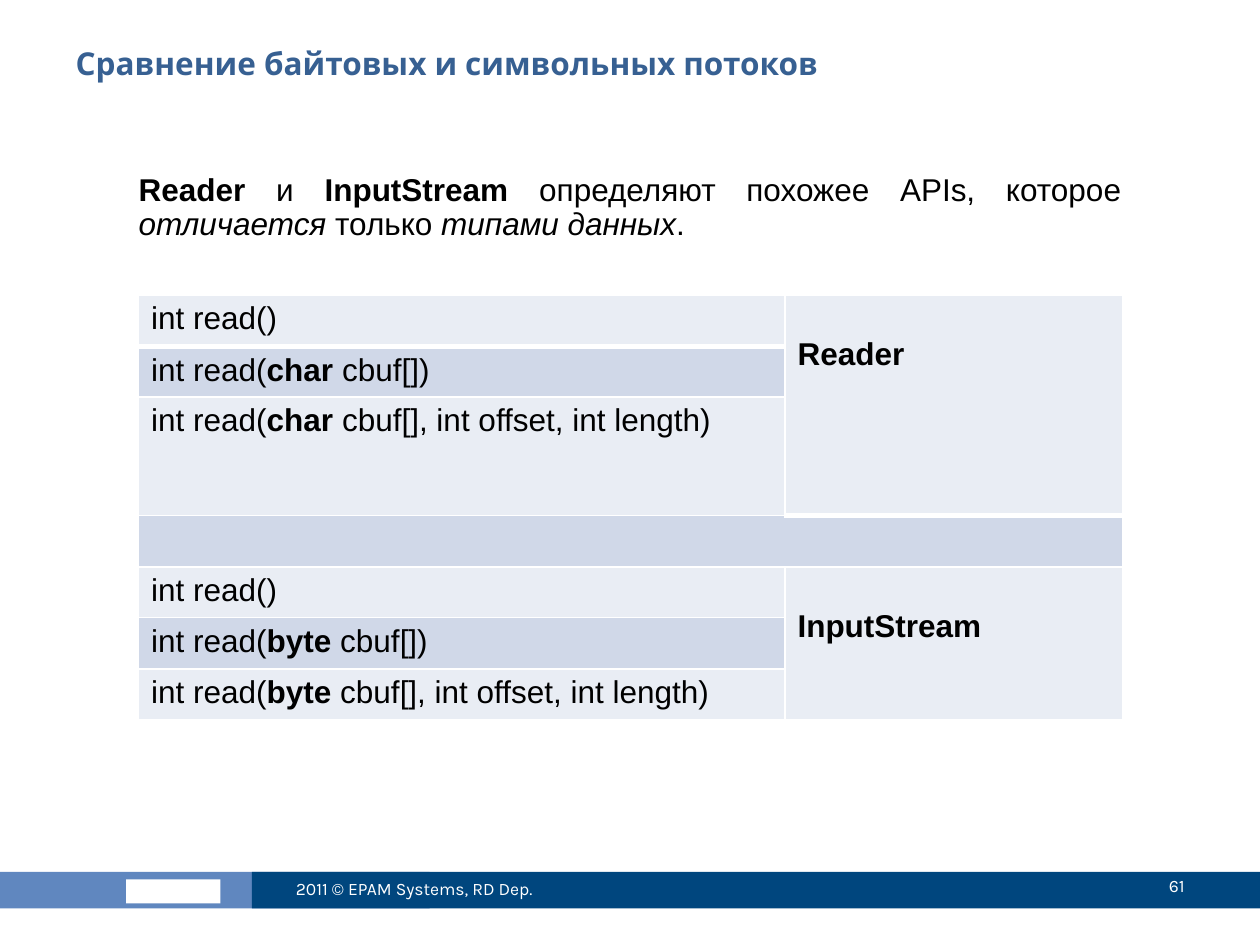
from lxml import etree
from pptx import Presentation
from pptx.dml.color import RGBColor
from pptx.enum.shapes import MSO_SHAPE
from pptx.enum.text import MSO_ANCHOR, PP_ALIGN
from pptx.oxml.ns import qn
from pptx.util import Inches, Pt

RECTANGLE = MSO_SHAPE.RECTANGLE
TOP, MIDDLE = MSO_ANCHOR.TOP, MSO_ANCHOR.MIDDLE
LEFT, RIGHT, JUSTIFY = PP_ALIGN.LEFT, PP_ALIGN.RIGHT, PP_ALIGN.JUSTIFY

WHITE, BLACK, TITLE_BLUE = "FFFFFF", "000000", "376092"
LIGHT_BAND, DARK_BAND = "E9EDF4", "D0D8E8"

# Text runs are (text, style), where style is "", "b" or "i".
TITLE = [("Сравнение байтовых и символьных потоков", "b")]
INTRO = [
    ("Reader ", "b"), ("и ", ""), ("InputStream ", "b"),
    ("определяют похожее APIs, которое ", ""), ("отличается", "i"),
    (" только ", ""), ("типами данных", "i"), (".", ""),
]
STREAMS = [("Reader", "char "), ("InputStream", "byte ")]
COLUMN_WIDTHS = [5.13, 2.68]
ROW_HEIGHTS = [0.41, 0.4, 0.94, 0.41, 0.4, 0.41, 0.4]
SEPARATOR_ROW = 3
BARS = [  # left, top, width, height, colour
    (-0.02, 6.92, 3.43, 0.29, "6087BF"),
    (2, 6.92, 8, 0.29, "00467E"),
    (1, 6.98, 0.75, 0.19, WHITE),
]
FOOTERS = [  # text, left, top, width, height, alignment
    ("2011 © EPAM Systems, RD Dep.", 2.25, 6.85, 2.67, 0.4, LEFT),
    ("61", 8.42, 6.83, 1.08, 0.4, RIGHT),
]


def rgb(colour):
    return RGBColor.from_string(colour)


def write(paragraph, runs, font_name, size, colour):
    for text, style in runs:
        run = paragraph.add_run()
        run.text = text
        font = run.font
        font.name, font.size = font_name, Pt(size)
        font.bold, font.italic = style == "b", style == "i"
        font.color.rgb = rgb(colour)


def place(shape, left, top, width, height):
    shape.left, shape.top = Inches(left), Inches(top)
    shape.width, shape.height = Inches(width), Inches(height)


def add_border(cell, side, points):
    properties = cell._tc.get_or_add_tcPr()
    line = etree.Element(qn(f"a:ln{side}"), w=str(Pt(points)))
    fill = etree.SubElement(line, qn("a:solidFill"))
    etree.SubElement(fill, qn("a:srgbClr"), val=WHITE)
    # Borders come before the fill, in the order L, R, T, B.
    position = len(properties.findall("*")) - 1
    properties.insert(position, line)


def add_bars(slide):
    for left, top, width, height, colour in BARS:
        bar = slide.shapes.add_shape(
            RECTANGLE, Inches(left), Inches(top), Inches(width), Inches(height))
        bar.shadow.inherit = False
        bar.fill.solid()
        bar.fill.fore_color.rgb = rgb(colour)
        bar.line.fill.background()


def add_heading_and_intro(slide):
    title, body = slide.shapes.title, slide.placeholders[1]
    place(title, 0.5, 0.3, 9, 0.78)
    title.text_frame.vertical_anchor = TOP
    heading = title.text_frame.paragraphs[0]
    heading.alignment = LEFT
    write(heading, TITLE, "Karla", 18, TITLE_BLUE)

    place(body, 1, 1.33, 8, 5.25)
    intro = body.text_frame.paragraphs[0]
    properties = intro._p.get_or_add_pPr()
    properties.set("marL", "0")
    properties.set("indent", "0")
    etree.SubElement(properties, qn("a:buNone"))
    intro.alignment = JUSTIFY
    intro.line_spacing = 0.9
    intro.space_before = Pt(0)
    write(intro, INTRO, "Arial", 18, BLACK)


def add_method_table(slide):
    table = slide.shapes.add_table(
        len(ROW_HEIGHTS), len(COLUMN_WIDTHS), Inches(1.1), Inches(2.34),
        Inches(sum(COLUMN_WIDTHS)), Inches(sum(ROW_HEIGHTS))).table
    table.first_row = table.horz_banding = False
    for column, width in zip(table.columns, COLUMN_WIDTHS):
        column.width = Inches(width)
    for row, height in zip(table.rows, ROW_HEIGHTS):
        row.height = Inches(height)

    for r in range(len(ROW_HEIGHTS)):
        for c in range(len(COLUMN_WIDTHS)):
            cell = table.cell(r, c)
            banded = r == SEPARATOR_ROW or (c == 0 and r % 2 == 1)
            cell.fill.solid()
            cell.fill.fore_color.rgb = rgb(DARK_BAND if banded else LIGHT_BAND)
            if c == 0:
                add_border(cell, "L", 1)
            add_border(cell, "R", 1)
            if r == 0:
                add_border(cell, "T", 1)
            add_border(cell, "B", 3 if r == 0 else 1)

    table.cell(SEPARATOR_ROW, 0).merge(table.cell(SEPARATOR_ROW, 1))
    for i, (stream, unit) in enumerate(STREAMS):
        first = i * (SEPARATOR_ROW + 1)
        methods = [
            [("int read()", "")],
            [("int read(", ""), (unit, "b"), ("cbuf[])", "")],
            [("int read(", ""), (unit, "b"),
             ("cbuf[], int offset, int length)", "")],
        ]
        for r, method in enumerate(methods, first):
            signature = table.cell(r, 0).text_frame.paragraphs[0]
            write(signature, method, "Arial", 18, BLACK)
        owner = table.cell(first, 1)
        owner.merge(table.cell(first + len(methods) - 1, 1))
        owner.margin_top = Inches(0.33)
        write(owner.text_frame.paragraphs[0], [(stream, "b")], "Arial", 18, BLACK)


def add_footers(slide):
    for text, left, top, width, height, alignment in FOOTERS:
        footer = slide.shapes.add_textbox(
            Inches(left), Inches(top), Inches(width), Inches(height)).text_frame
        footer.word_wrap = True
        footer.vertical_anchor = MIDDLE
        footer.paragraphs[0].alignment = alignment
        write(footer.paragraphs[0], [(text, "")], "Karla", 10, WHITE)


def main():
    presentation = Presentation()
    presentation.slide_width, presentation.slide_height = Inches(10), Inches(7.5)
    slide = presentation.slides.add_slide(presentation.slide_layouts[1])
    add_bars(slide)
    add_heading_and_intro(slide)
    add_method_table(slide)
    add_footers(slide)
    presentation.save("out.pptx")


if __name__ == "__main__":
    main()
